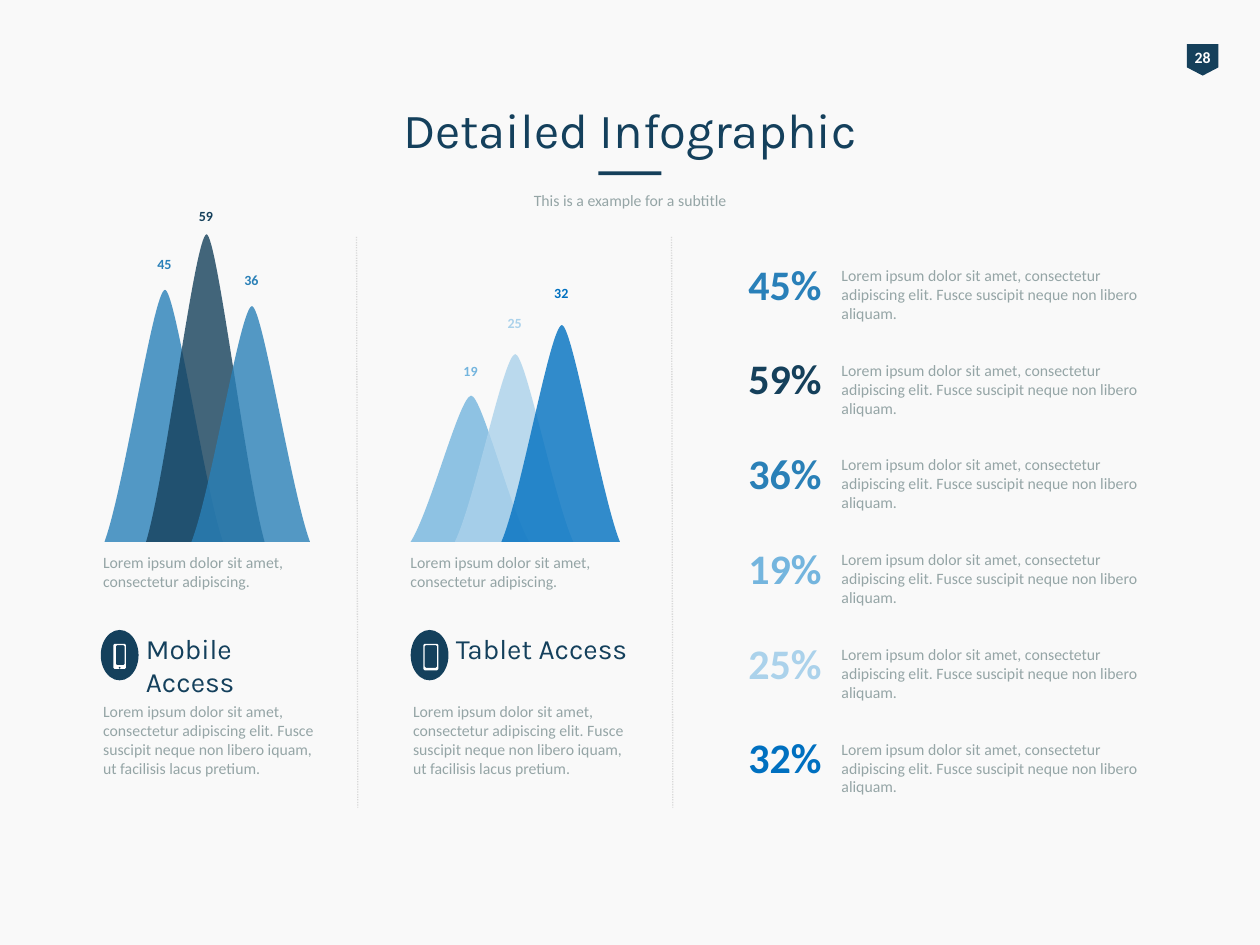
from collections import namedtuple

from lxml.etree import SubElement
from pptx import Presentation
from pptx.dml.color import RGBColor
from pptx.enum.dml import MSO_LINE
from pptx.enum.shapes import MSO_CONNECTOR, MSO_SHAPE
from pptx.enum.text import MSO_ANCHOR, MSO_AUTO_SIZE, PP_ALIGN
from pptx.oxml.ns import qn
from pptx.util import Inches, Pt

PAPER = RGBColor(0xF9, 0xF9, 0xF9)
WHITE = RGBColor(0xFF, 0xFF, 0xFF)
GRAY = RGBColor(0x95, 0xA5, 0xA6)
RULE = RGBColor(0xD9, 0xD9, 0xD9)
INK = RGBColor(0x14, 0x40, 0x5C)
NAVY = RGBColor(0x15, 0x40, 0x5B)
BLUE = RGBColor(0x29, 0x80, 0xB9)
STEEL = RGBColor(0x2A, 0x80, 0xB7)
SKY = RGBColor(0x74, 0xB5, 0xDE)
PALE = RGBColor(0xAB, 0xD2, 0xEB)
BRIGHT = RGBColor(0x00, 0x70, 0xC0)

BODY_FONT = "Calibri"
HEAD_FONT = "Karla"

CAPTION = "Lorem ipsum dolor sit amet, consectetur adipiscing."
STAT_TEXT = ("Lorem ipsum dolor sit amet, consectetur adipiscing elit. "
             "Fusce suscipit neque non libero aliquam.")
ACCESS_TEXT = ("Lorem ipsum dolor sit amet, consectetur adipiscing elit. "
               "Fusce suscipit neque non libero iquam, ut facilisis lacus pretium.")

Box = namedtuple("Box", "left top width height")
Peak = namedtuple("Peak", "value color offset height label_gap")

MOBILE_PEAKS = [Peak(45, BLUE, 0.11, 2, 0.32),
                Peak(59, NAVY, 0.44, 2.44, 0.26),
                Peak(36, STEEL, 0.8, 1.87, 0.32)]
TABLET_PEAKS = [Peak(19, SKY, 0.1, 1.16, 0.31),
                Peak(25, PALE, 0.45, 1.49, 0.36),
                Peak(32, BRIGHT, 0.82, 1.72, 0.37)]
PEAK_WIDTH = 0.94
PEAK_CURVE = [(0.17, 0.22), (0.41, 0.99), (0.51, 1),
              (0.6, 1), (0.84, 0.22), (1, 0)]

PHONE = [Box(0.1, 0.11, 0.1, 0.2), Box(0.12, 0.12, 0.07, 0.16),
         Box(0.14, 0.29, 0.02, 0.02)]
TABLET = [Box(0.1, 0.11, 0.12, 0.21), Box(0.11, 0.12, 0.1, 0.18)]


def place(box):
    return [Inches(length) for length in box]


def paint(shape, color):
    shape.shadow.inherit = False
    shape.fill.solid()
    shape.fill.fore_color.rgb = color
    shape.line.fill.background()


def write(shape, text, size, color, font=BODY_FONT, bold=False, align=PP_ALIGN.LEFT):
    shape.text_frame.text = text
    para = shape.text_frame.paragraphs[0]
    para.alignment = align
    para.space_before = Pt(0)
    para.font.name = font
    para.font.size = Pt(size)
    para.font.bold = bold
    para.font.color.rgb = color


def add_text(page, box, text, size, color, **style):
    shape = page.shapes.add_textbox(*place(box))
    shape.text_frame.word_wrap = True
    write(shape, text, size, color, **style)


def add_label(page, box, text, size, color):
    shape = page.shapes.add_textbox(*place(box))
    shape.text_frame.word_wrap = False
    shape.text_frame.auto_size = MSO_AUTO_SIZE.SHAPE_TO_FIT_TEXT
    write(shape, text, size, color, bold=True, align=PP_ALIGN.CENTER)


def draw_header(page, box):
    title = page.shapes.title
    title.left, title.top, title.width, title.height = place(box._replace(height=0.43))
    frame = title.text_frame
    frame.margin_top = frame.margin_bottom = 0
    frame.vertical_anchor = MSO_ANCHOR.MIDDLE
    frame.auto_size = MSO_AUTO_SIZE.SHAPE_TO_FIT_TEXT
    write(title, "Detailed Infographic", 28, INK, font=HEAD_FONT, align=PP_ALIGN.CENTER)

    content, subtitle = list(page.placeholders)[1:]
    content.element.getparent().remove(content.element)
    subtitle.left, subtitle.top, subtitle.width, subtitle.height = place(
        Box(box.left, box.top + 0.65, box.width, 0.19))
    subtitle.text_frame.auto_size = MSO_AUTO_SIZE.SHAPE_TO_FIT_TEXT
    write(subtitle, "This is a example for a subtitle", 9, GRAY, align=PP_ALIGN.CENTER)

    middle = box.left + box.width / 2
    underline = page.shapes.add_shape(
        MSO_SHAPE.RECTANGLE, *place(Box(middle - 0.25, box.top + 0.55, 0.5, 0.03)))
    paint(underline, NAVY)


def draw_page_number(page, box):
    badge = page.shapes.add_shape(MSO_SHAPE.PENTAGON, *place(box))
    badge.adjustments[0] = 0.26
    badge.rotation = 90
    paint(badge, NAVY)
    add_label(page, Box(box.left - 0.04, box.top - 0.02, 0.33, 0.19), "28", 9, WHITE)


def draw_peak(page, box, color):
    points = [(Inches(box.left + across * box.width),
               Inches(box.top + (1 - up) * box.height)) for across, up in PEAK_CURVE]
    builder = page.shapes.build_freeform(Inches(box.left), Inches(box.top + box.height))
    builder.add_line_segments(points, close=True)
    shape = builder.convert_to_shape()
    paint(shape, color)
    tint = next(shape.element.iter(qn("a:srgbClr")))
    SubElement(tint, qn("a:alpha"), val="80000")

    segments = list(shape.element.iter(qn("a:lnTo")))
    for start in range(0, len(segments), 3):
        first, *others = segments[start:start + 3]
        first.addprevious(curve := first.makeelement(qn("a:cubicBezTo")))
        for segment in (first, *others):
            curve.append(segment[0])
            segment.getparent().remove(segment)


def draw_peaks(page, box, peaks):
    base = box.top + box.height
    for peak in peaks:
        left, top = box.left + peak.offset, base - peak.height
        draw_peak(page, Box(left, top, PEAK_WIDTH, peak.height), peak.color)
    for peak in peaks:
        middle = box.left + peak.offset + PEAK_WIDTH / 2
        top = base - peak.height - peak.label_gap
        add_label(page, Box(middle - 0.15, top, 0.31, 0.24), str(peak.value), 8, peak.color)
    add_text(page, Box(box.left, base + 0.04, box.width, 0.5), CAPTION, 9, GRAY)


def corners(box, cut=0.01):
    left, top, width, height = box
    right, bottom = left + width, top + height
    outline = [(left + cut, top), (right - cut, top), (right, top + cut),
               (right, bottom - cut), (right - cut, bottom), (left + cut, bottom),
               (left, bottom - cut), (left, top + cut)]
    return [(Inches(x), Inches(y)) for x, y in outline]


def draw_device(page, box, parts):
    disc = page.shapes.add_shape(MSO_SHAPE.OVAL, *place(box))
    paint(disc, INK)
    outlines = [corners(part._replace(left=box.left + part.left, top=box.top + part.top))
                for part in parts]
    builder = page.shapes.build_freeform(*outlines[0][0])
    for outline in outlines:
        builder.move_to(*outline[0])
        builder.add_line_segments(outline[1:], close=True)
    paint(builder.convert_to_shape(), WHITE)


def draw_access(page, box, heading, device):
    draw_device(page, Box(box.left + 0.08, box.top + 0.04, 0.3, 0.4), device)
    add_text(page, Box(box.left + 0.34, box.top, 1.58, 0.41), heading, 16, INK, font=HEAD_FONT)
    add_text(page, Box(box.left, box.top + 0.56, box.width, 1.08), ACCESS_TEXT, 9, GRAY)


def draw_divider(page, box):
    left, top, width, height = place(box)
    line = page.shapes.add_connector(
        MSO_CONNECTOR.STRAIGHT, left, top, left + width, top + height)
    line.line.color.rgb = RULE
    line.line.width = Pt(0.75)
    line.line.dash_style = MSO_LINE.ROUND_DOT
    SubElement(line.element.spPr, qn("a:effectLst"))


def draw_stats(page, box, peaks):
    pitch = box.height / len(peaks)
    for row, peak in enumerate(peaks):
        top = box.top + row * pitch
        add_text(page, Box(box.left, top, 0.79, 0.41), f"{peak.value}%", 24, peak.color, bold=True)
        add_text(page, Box(box.left + 0.74, top + 0.06, box.width - 0.74, 0.37),
                 STAT_TEXT, 9, GRAY)


def main():
    deck = Presentation()
    deck.slide_width, deck.slide_height = Inches(10), Inches(7.5)
    page = deck.slides.add_slide(deck.slide_layouts.get_by_name("Content with Caption"))
    page.background.fill.solid()
    page.background.fill.fore_color.rgb = PAPER

    draw_header(page, Box(0.5, 0.81, 9, 0.84))
    draw_page_number(page, Box(9.42, 0.35, 0.25, 0.25))
    draw_peaks(page, Box(0.72, 1.86, 1.74, 2.44), MOBILE_PEAKS)
    draw_peaks(page, Box(3.16, 1.86, 1.74, 2.44), TABLET_PEAKS)
    draw_access(page, Box(0.72, 4.96, 1.92, 1.64), "Mobile Access", PHONE)
    draw_access(page, Box(3.18, 4.96, 1.92, 1.64), "Tablet Access", TABLET)
    for left in (2.83, 5.33):
        draw_divider(page, Box(left, 1.88, 0.01, 4.53))
    draw_stats(page, Box(5.84, 2, 3.33, 4.51), MOBILE_PEAKS + TABLET_PEAKS)
    deck.save("out.pptx")


if __name__ == "__main__":
    main()
